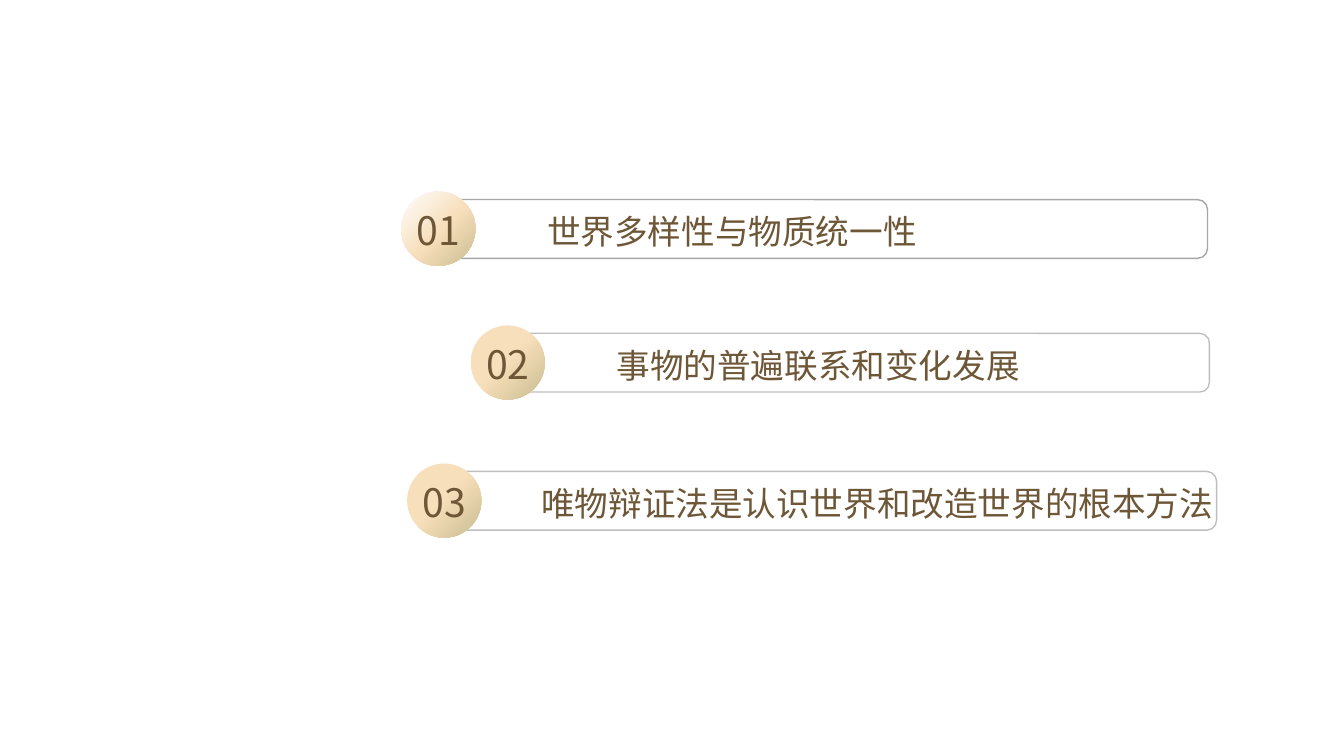
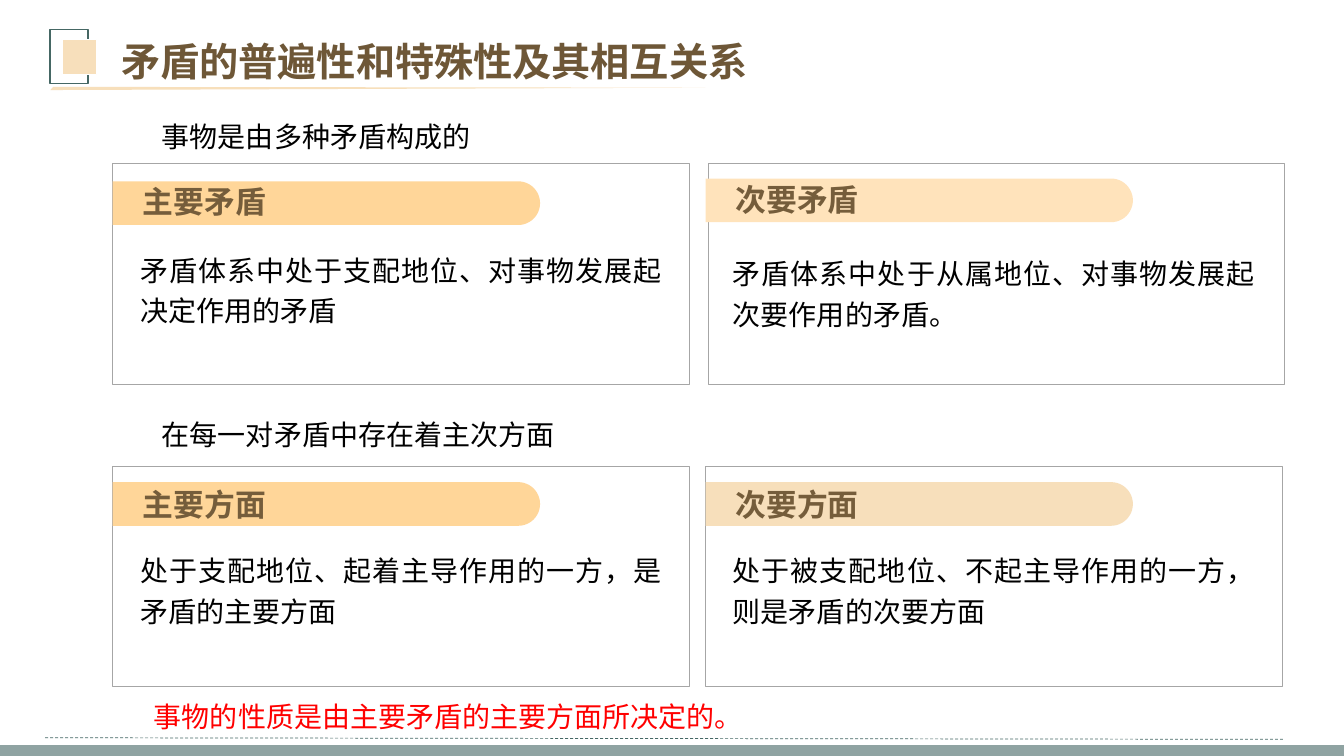
"""Build a contents slide and a comparison slide on contradiction in dialectics."""
from dataclasses import dataclass

from lxml import etree
from pptx import Presentation
from pptx.dml.color import RGBColor
from pptx.enum.dml import MSO_LINE
from pptx.enum.shapes import MSO_CONNECTOR, MSO_SHAPE
from pptx.enum.text import MSO_ANCHOR, MSO_AUTO_SIZE, PP_ALIGN
from pptx.oxml.ns import qn
from pptx.util import Cm, Pt

LEFT, CENTER, JUSTIFY = PP_ALIGN.LEFT, PP_ALIGN.CENTER, PP_ALIGN.JUSTIFY
TOP, NO_FIT = MSO_ANCHOR.TOP, MSO_AUTO_SIZE.NONE
RECT, ROUND_RECT, OVAL = MSO_SHAPE.RECTANGLE, MSO_SHAPE.ROUNDED_RECTANGLE, MSO_SHAPE.OVAL
HALF_ROUND, PROCESS = MSO_SHAPE.ROUND_2_SAME_RECTANGLE, MSO_SHAPE.FLOWCHART_PROCESS
STRAIGHT, DASH = MSO_CONNECTOR.STRAIGHT, MSO_LINE.DASH


@dataclass(frozen=True)
class Theme:
    font: str = "Noto Sans CJK SC"
    brown: str = "6E5737"
    label: str = "755D3B"
    black: str = "000000"
    white: str = "FFFFFF"
    red: str = "FF0000"
    green: str = "456764"
    grey: str = "A6A6A6"
    light_grey: str = "BFBFBF"
    cream: str = "F7DFBB"
    khaki: str = "CABD91"
    amber: str = "FFD699"
    peach: str = "FFE3BB"
    title_size: int = 28
    item_size: int = 24
    label_size: int = 22
    body_size: int = 20


T = Theme()


def paint(sp, fill=None, line=None, width=1):
    sp.shadow.inherit = False
    if fill:
        sp.fill.solid()
        sp.fill.fore_color.rgb = RGBColor.from_string(fill)
    else:
        sp.fill.background()
    if line:
        sp.line.color.rgb = RGBColor.from_string(line)
        sp.line.width = Pt(width)
    else:
        sp.line.fill.background()


def write(sp, text, size, color, bold=False, indent=0, **para):
    tf = sp.text_frame
    frame = {"word_wrap": True, "auto_size": NO_FIT, "vertical_anchor": TOP}
    p = tf.paragraphs[0]
    r = p.add_run()
    r.text = text
    r.font.color.rgb = RGBColor.from_string(color)
    font = {"name": T.font, "size": Pt(size), "bold": bold}
    for target, values in ((tf, frame), (p, {"alignment": LEFT, **para}), (r.font, font)):
        for key, value in values.items():
            setattr(target, key, value)
    etree.SubElement(r.font._element, qn("a:ea"), typeface=T.font)
    if indent:
        p._p.get_or_add_pPr().set("indent", str(Cm(indent)))


prs = Presentation()
prs.slide_width, prs.slide_height = Cm(33.87), Cm(19.05)

s = prs.slides.add_slide(prs.slide_layouts[6])
two_stops = [(47, T.cream), (100, T.khaki)]
three_stops = [(0, T.white), (53, T.cream), (100, T.khaki)]
items = [
    ("01", "世界多样性与物质统一性", 10.11, 4.83, 11.05, 30.43, 13.54, T.grey, three_stops),
    ("02", "事物的普遍联系和变化发展", 11.86, 8.2, 12.8, 30.48, 15.29, T.light_grey, two_stops),
    ("03", "唯物辩证法是认识世界和改造世界的根本方法", 10.26, 11.68, 11.28, 30.66, 13.39,
     T.light_grey, two_stops),
]
for number, text, x, y, bar_x, bar_right, text_x, border, stops in items:
    bar = s.shapes.add_shape(ROUND_RECT, Cm(bar_x), Cm(y + 0.2), Cm(bar_right - bar_x), Cm(1.48))
    paint(bar, line=border)
    disc = s.shapes.add_shape(OVAL, Cm(x), Cm(y), Cm(1.87), Cm(1.87))
    paint(disc)
    disc.fill.gradient()
    disc.fill.gradient_angle = 315
    stop_list = disc._element.spPr.find(".//" + qn("a:gsLst"))
    stop_list[:] = []
    for position, color in stops:
        stop = etree.SubElement(stop_list, qn("a:gs"), pos=str(position * 1000))
        etree.SubElement(stop, qn("a:srgbClr"), val=color)
    box = s.shapes.add_textbox(Cm(x - 0.33), Cm(y + 0.25), Cm(2.54), Cm(1.45))
    write(box, number, T.title_size, T.brown, alignment=CENTER)
    box = s.shapes.add_textbox(Cm(text_x), Cm(y + 0.37), Cm(18.5), Cm(1.28))
    write(box, text, T.item_size, T.brown)

s = prs.slides.add_slide(prs.slide_layouts[5])
title = s.shapes.title
for key, value in {"left": 2.8, "top": 0.82, "width": 19.33, "height": 1.45}.items():
    setattr(title, key, Cm(value))
write(title, "矛盾的普遍性和特殊性及其相互关系", T.title_size, T.brown, bold=True)

frame = s.shapes.add_shape(PROCESS, Cm(1.26), Cm(0.74), Cm(0.96), Cm(1.37))
paint(frame, line=T.green)
square = s.shapes.add_shape(RECT, Cm(1.56), Cm(1), Cm(0.88), Cm(0.88))
paint(square, T.cream, T.white)
outline = s.shapes.build_freeform(Cm(1.34), Cm(2.19))
outline.add_line_segments([(Cm(17.78), Cm(2.21)), (Cm(1.27), Cm(2.27))])
paint(outline.convert_to_shape(), T.cream)

band = s.shapes.add_shape(RECT, 0, Cm(18.78), prs.slide_width, Cm(0.27))
paint(band, T.green)
band_color = band._element.spPr.find(".//" + qn("a:srgbClr"))
etree.SubElement(band_color, qn("a:alpha"), val="60000")
rule = s.shapes.add_connector(STRAIGHT, Cm(1.14), Cm(18.59), Cm(32.36), Cm(18.63))
rule.line.color.rgb = RGBColor.from_string(T.green)
rule.line.width = Pt(0.5)
rule.line.dash_style = DASH
etree.SubElement(rule._element.spPr, qn("a:effectLst"))

pill_w, pill_h = 10.77, 1.1
cards = [
    ("主要矛盾", "矛盾体系中处于支配地位、对事物发展起决定作用的矛盾",
     2.84, 4.12, 2.84, 4.57, 4.47, 6.12, T.amber),
    ("次要矛盾", "矛盾体系中处于从属地位、对事物发展起次要作用的矛盾。",
     17.84, 4.12, 17.78, 4.5, 4.44, 6.2, T.peach),
    ("主要方面", "处于支配地位、起着主导作用的一方，是矛盾的主要方面",
     2.84, 11.74, 2.84, 12.15, 12.12, 13.69, T.amber),
    ("次要方面", "处于被支配地位、不起主导作用的一方，则是矛盾的次要方面",
     17.78, 11.74, 17.78, 12.15, 12.12, 13.69, T.cream),
]
for label, text, x, y, pill_x, pill_y, label_y, text_y, color in cards:
    card = s.shapes.add_shape(RECT, Cm(x), Cm(y), Cm(14.53), Cm(5.56))
    paint(card, T.white, T.grey, 0.25)
    shift = (pill_w - pill_h) / 2
    pill = s.shapes.add_shape(HALF_ROUND, Cm(pill_x + shift), Cm(pill_y - shift),
                              Cm(pill_h), Cm(pill_w))
    pill.rotation = 90
    pill.adjustments[0] = 0.5
    paint(pill, color)
    box = s.shapes.add_textbox(Cm(pill_x + 0.51), Cm(label_y), Cm(9.2), Cm(1.2))
    write(box, label, T.label_size, T.label, bold=True)
    box = s.shapes.add_textbox(Cm(pill_x + 0.51), Cm(text_y), Cm(13.51), Cm(2.24))
    for side, inset in {"left": 0.18, "right": 0.18, "top": 0.1, "bottom": 0.1}.items():
        setattr(box.text_frame, f"margin_{side}", Cm(inset))
    write(box, text, T.body_size, T.black, alignment=JUSTIFY, line_spacing=1.2)

statements = [
    ("事物是由多种矛盾构成的", 2.41, 2.46, T.black),
    ("在每一对矛盾中存在着主次方面", 2.41, 9.98, T.black),
    ("事物的性质是由主要矛盾的主要方面所决定的。", 2.21, 17.07, T.red),
]
for text, x, y, color in statements:
    box = s.shapes.add_textbox(Cm(x), Cm(y), Cm(28), Cm(1.52))
    write(box, text, T.body_size, color, indent=1.42, alignment=JUSTIFY, line_spacing=1.5)

prs.save("out.pptx")
